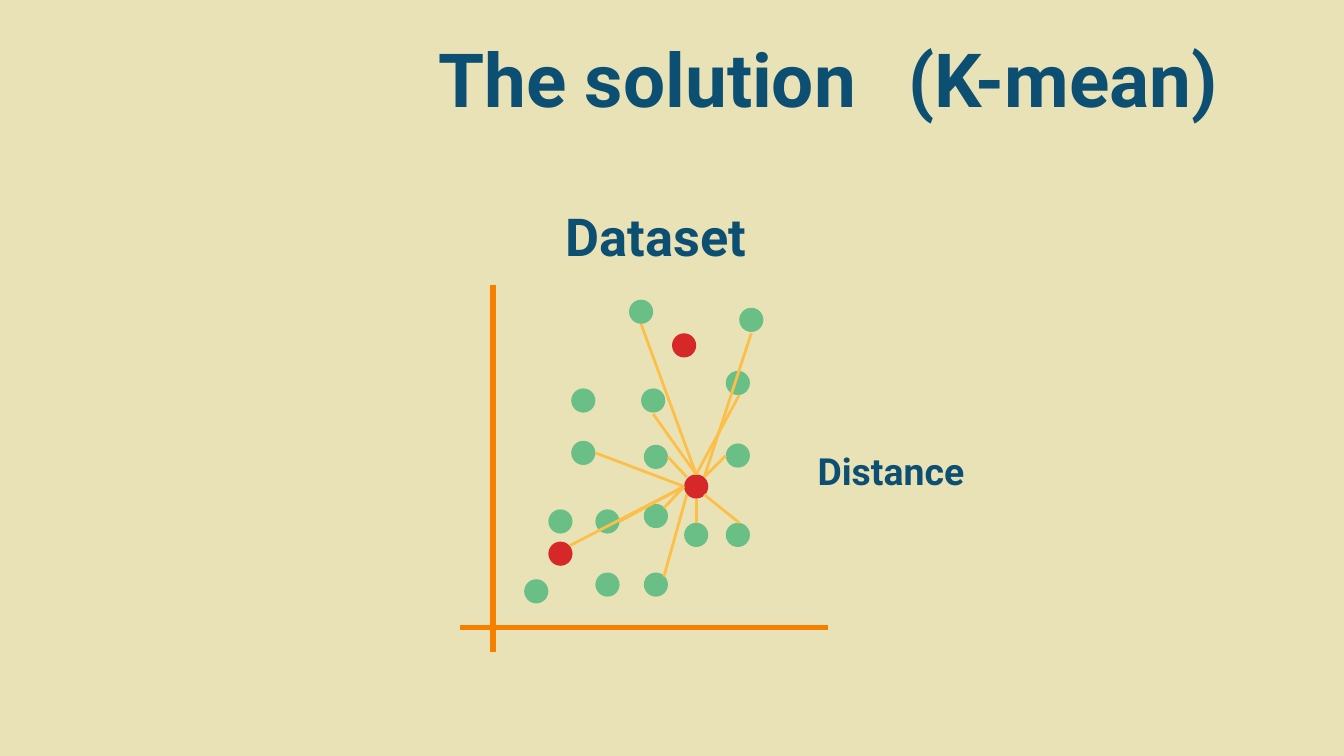
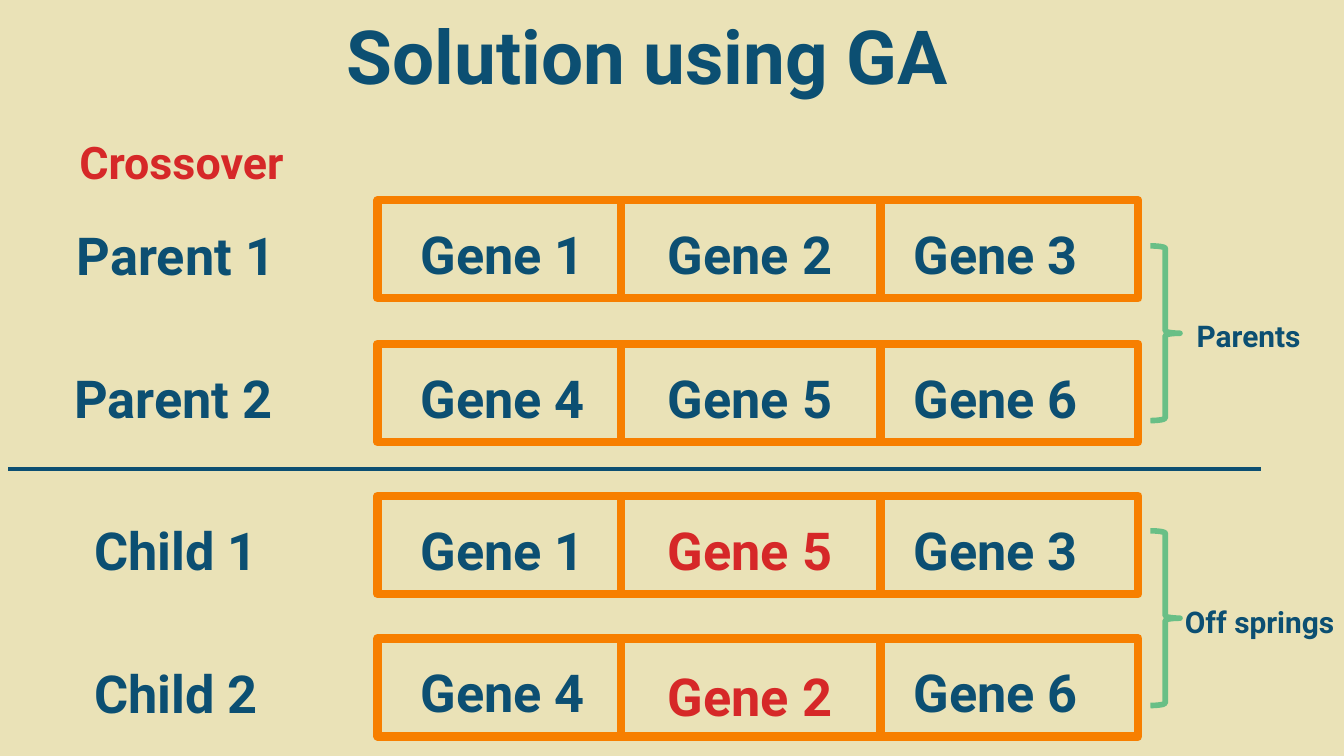
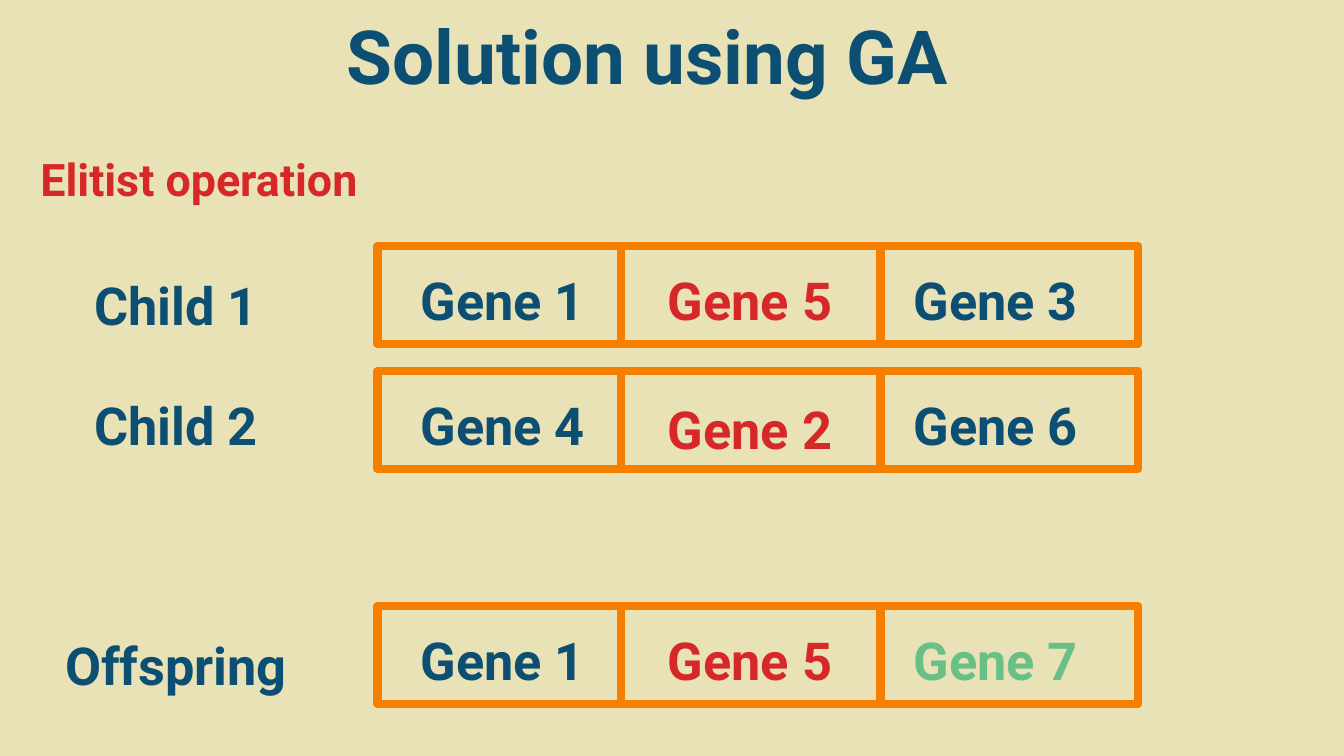
import dataclasses

import lxml.etree
import pptx
import pptx.dml.color
import pptx.enum.shapes
import pptx.enum.text
import pptx.oxml.ns
import pptx.util

Inches, Pt = pptx.util.Inches, pptx.util.Pt
Shape = pptx.enum.shapes.MSO_SHAPE
qn = pptx.oxml.ns.qn


@dataclasses.dataclass(frozen=True)
class Theme:
    sand: str = "EAE2B7"
    navy: str = "0C4F72"
    red: str = "D62828"
    green: str = "69BF86"
    orange: str = "F77F00"
    gold: str = "FCBF49"
    font: str = "Roboto"
    title: int = 40
    label: int = 28
    head: int = 24
    note: int = 20
    small: int = 16


theme = Theme()
rgb = pptx.dml.color.RGBColor.from_string
frame_style = {
    "word_wrap": True,
    "auto_size": pptx.enum.text.MSO_AUTO_SIZE.NONE,
    "vertical_anchor": pptx.enum.text.MSO_ANCHOR.BOTTOM,
    **{f"margin_{side}": Inches(0.1) for side in ("left", "top", "right", "bottom")},
}


def write(slide, text, box, size, ink=theme.navy, title=False):
    """Put one centred line of bold text in a title or a text box."""
    box = [Inches(n) for n in box]
    shape = slide.shapes.title if title else slide.shapes.add_textbox(*box)
    for name, value in zip(("left", "top", "width", "height"), box):
        setattr(shape, name, value)
    for name, value in frame_style.items():
        setattr(shape.text_frame, name, value)
    para = shape.text_frame.paragraphs[0]
    para.alignment = pptx.enum.text.PP_ALIGN.CENTER
    run = para.add_run()
    run.text = text
    for name, value in {"name": theme.font, "size": Pt(size), "bold": True}.items():
        setattr(run.font, name, value)
    run.font.color.rgb = rgb(ink)


def rule(slide, ends, ink, width):
    """Draw a straight line between two points."""
    kind = pptx.enum.shapes.MSO_CONNECTOR.STRAIGHT
    line = slide.shapes.add_connector(kind, *[Inches(n) for n in ends])
    line.line.color.rgb = rgb(ink)
    line.line.width = Pt(width)
    lxml.etree.SubElement(line.element.spPr, qn("a:effectLst"))


# Deck (16:9) and titles
deck = pptx.Presentation()
deck.slide_width, deck.slide_height = Inches(10), Inches(10 * 9 / 16)
back = deck.slide_master.background.fill
back.solid()
back.fore_color.rgb = rgb(theme.sand)
ga_box = (2.33, -0.17, 4.97, 1.01)
titles = [
    ("The solution", (2.33, 0.07, 4.97, 0.94)),
    ("Solution using GA", ga_box),
    ("Solution using GA", ga_box),
]
slides = []
for text, box in titles:
    slide = deck.slides.add_slide(deck.slide_layouts[5])
    write(slide, text, box, theme.title, title=True)
    slides.append(slide)
means, cross, elite = slides

# Scatter axes
rule(means, (3.67, 2.12, 3.67, 4.85), theme.orange, 3)
rule(means, (3.42, 4.67, 6.16, 4.67), theme.orange, 3)

# Data points and centroids
points = [
    (3.9, 4.31), (4.08, 3.79), (4.43, 3.79), (4.43, 4.26), (4.79, 4.26),
    (4.79, 3.31), (4.79, 3.75), (4.25, 3.28), (4.25, 2.89), (4.77, 2.89),
    (5.09, 3.89), (5.4, 3.89), (5.4, 3.3), (5.4, 2.76), (5.5, 2.29), (4.68, 2.23),
]
centres = [(4.08, 4.03), (5.09, 3.53), (5, 2.48)]
for spots, ink in ((points, theme.green), (centres, theme.red)):
    for left, top in spots:
        dot = means.shapes.add_shape(
            Shape.OVAL, Inches(left), Inches(top), Inches(0.18), Inches(0.18))
        dot.shadow.inherit = False
        dot.fill.solid()
        dot.fill.fore_color.rgb = rgb(ink)
        dot.line.fill.background()

# Distances, grouped by where they leave the centroid
rays = {
    (5.24, 3.55): [(5.4, 3.39), (5.59, 2.48)],
    (5.11, 3.55): [(4.97, 3.4)],
    (5.18, 3.71): [(5.18, 3.89)],
    (5.24, 3.68): [(5.5, 3.89)],
    (5.18, 3.53): [(4.86, 3.08), (5.5, 2.94), (4.77, 2.41)],
    (5.09, 3.62): [(4.94, 3.78), (4.43, 3.37), (4.61, 3.88), (4.24, 4.06)],
    (5.11, 3.68): [(4.94, 4.29)],
}
for start, stops in rays.items():
    for stop in stops:
        rule(means, start + stop, theme.gold, 1.5)

# Gene rows: slide, top, name, name left, name top, genes, gene inks, middle drop
plain = (theme.navy,) * 3
swap = (theme.navy, theme.red, theme.navy)
fresh = (theme.navy, theme.red, theme.green)
rows = [
    (cross, 1.49, "Parent 1", -0.19, 1.43, (1, 2, 3), plain, 0),
    (cross, 2.56, "Parent 2", -0.21, 2.49, (4, 5, 6), plain, 0),
    (cross, 3.69, "Child 1", -0.19, 3.62, (1, 5, 3), swap, 0),
    (cross, 4.75, "Child 2", -0.19, 4.69, (4, 2, 6), swap, 0.03),
    (elite, 1.83, "Child 1", -0.19, 1.8, (1, 5, 3), swap, 0),
    (elite, 2.76, "Child 2", -0.19, 2.69, (4, 2, 6), swap, 0.03),
    (elite, 4.51, "Offspring", -0.19, 4.48, (1, 5, 7), fresh, 0),
]
frames = []
for slide, top, name, left, name_top, genes, inks, drop in rows:
    frame = slide.shapes.add_shape(
        Shape.RECTANGLE, Inches(2.81), Inches(top), Inches(5.66), Inches(0.73))
    frames.append((frame, theme.orange, 4.5))
    for x in (4.62, 6.55):
        rule(slide, (x, top, x, top + 0.73), theme.orange, 4.5)
    write(slide, name, (left, name_top, 3, 0.8), theme.label)
    for x, gene, ink, dip in zip((2.39, 4.23, 6.06), genes, inks, (0, drop, 0)):
        write(slide, f"Gene {gene}", (x, top - 0.07 + dip, 2.7, 0.8), theme.label, ink)

# Braces beside the two generations
braces = [(1.83, "Parents", 8.4, 2.29), (3.95, "Off springs ", 8.51, 4.42)]
for top, text, left, text_top in braces:
    brace = cross.shapes.add_shape(
        Shape.RIGHT_BRACE, Inches(8.56), Inches(top), Inches(0.22), Inches(1.3))
    frames.append((brace, theme.green, 3))
    write(cross, text, (left, text_top, 1.78, 0.44), theme.small)

# Open outlines with round corners
for shape, ink, width in frames:
    shape.shadow.inherit = False
    shape.fill.background()
    shape.line.color.rgb = rgb(ink)
    shape.line.width = Pt(width)
    lxml.etree.SubElement(shape.element.spPr.find(qn("a:ln")), qn("a:round"))

# Divider, headings and notes
rule(cross, (0.06, 3.49, 9.38, 3.49), theme.navy, 2.25)
write(cross, "Crossover", (-0.19, 0.94, 3.08, 0.56), theme.head, theme.red)
write(elite, "Elitist operation", (-0.06, 1.07, 3.08, 0.56), theme.head, theme.red)
write(means, "Dataset", (3.9, 1.29, 1.96, 0.8), theme.label)
write(means, "(K-mean)", (6.58, 0.07, 2.66, 0.94), theme.title)
write(means, "Distance", (5.93, 3.26, 1.4, 0.51), theme.note)

deck.save("out.pptx")
